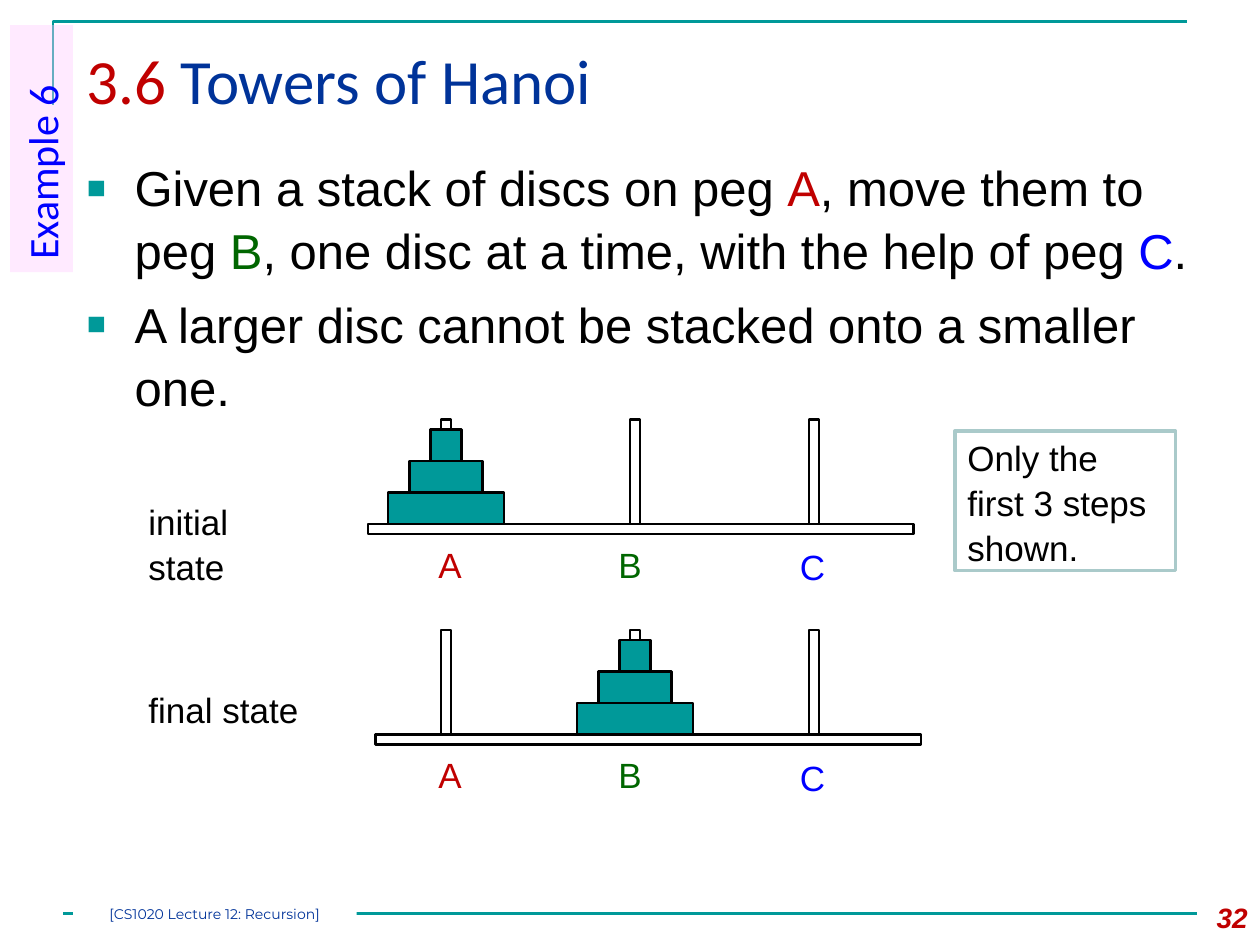
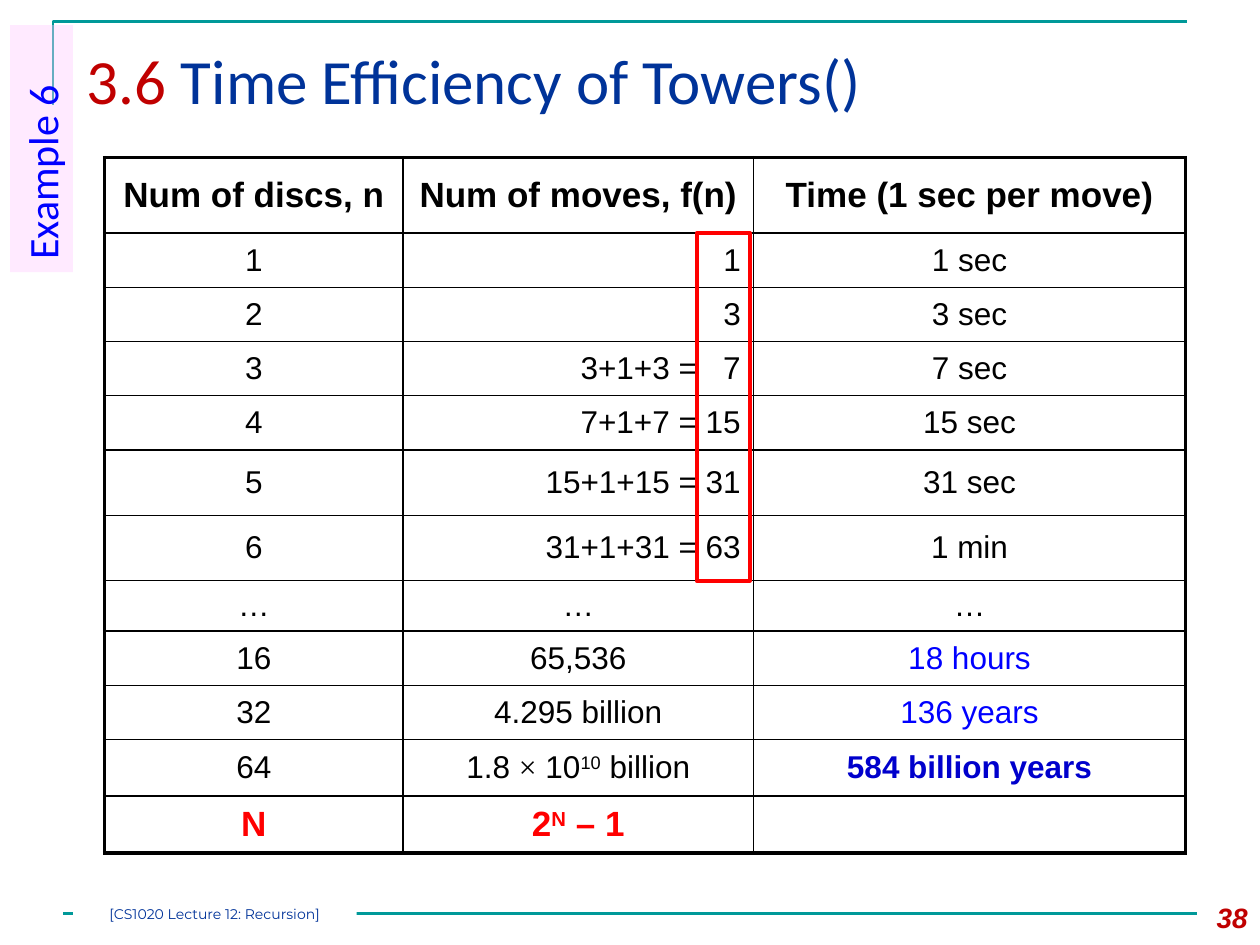
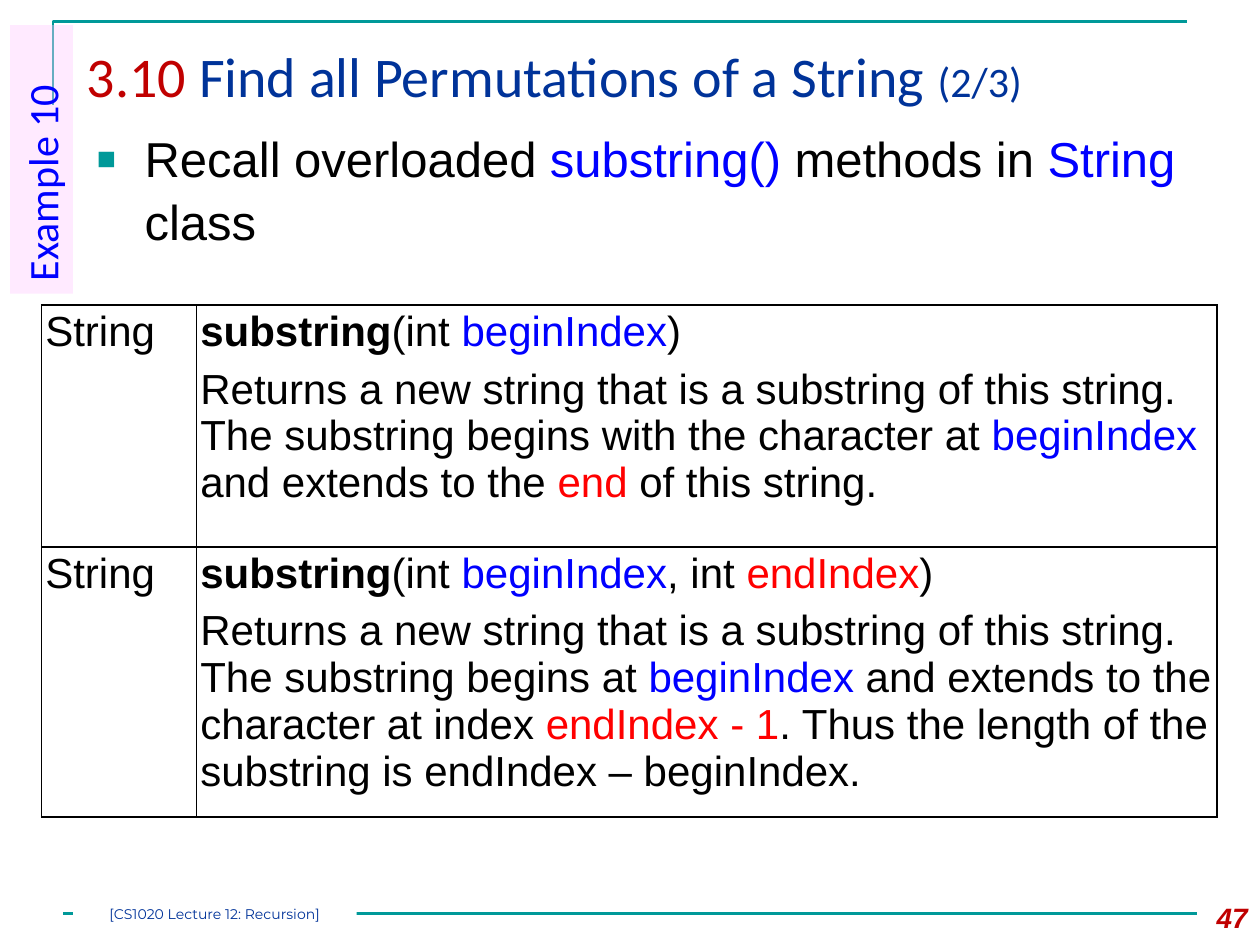
from typing import NamedTuple, Optional, Sequence

from pptx import Presentation
from pptx.dml.color import RGBColor
from pptx.enum import shapes, text
from pptx.oxml import parse_xml
from pptx.oxml.ns import nsdecls
from pptx.util import Inches, Pt

# Colours and fonts
TEAL = RGBColor(0x00, 0x99, 0x99)
PALE_TEAL = RGBColor(0xAA, 0xCA, 0xCA)
NAVY = RGBColor(0x00, 0x33, 0x99)
DARK_RED = RGBColor(0xC0, 0x00, 0x00)
RED = RGBColor(0xFF, 0x00, 0x00)
GREEN = RGBColor(0x00, 0x66, 0x00)
BLUE = RGBColor(0x00, 0x00, 0xFF)
DEEP_BLUE = RGBColor(0x00, 0x00, 0xCC)
PINK = RGBColor(0xFF, 0xCC, 0xFF)
BLACK = RGBColor(0x00, 0x00, 0x00)
WHITE = RGBColor(0xFF, 0xFF, 0xFF)
BODY_FONT, TITLE_FONT, FOOTER_FONT = "Arial", "Calibri", "Montserrat"
FOOTER = "[CS1020 Lecture 12: Recursion]"
LINE_SPACING = 1.07
LEFT, CENTER, RIGHT = text.PP_ALIGN.LEFT, text.PP_ALIGN.CENTER, text.PP_ALIGN.RIGHT


class Run(NamedTuple):
    """A piece of text; empty fields take the paragraph's format."""
    text: str
    color: Optional[RGBColor] = None
    bold: Optional[bool] = None
    size: Optional[float] = None
    font: Optional[str] = None
    raised: bool = False


class Peg(NamedTuple):
    name: str
    left: float
    label_left: float
    label_drop: float
    color: RGBColor


class Row(NamedTuple):
    height: float
    discs: str
    moves: Sequence[Run]
    time: Sequence[Run]
    moves_align: text.PP_ALIGN = CENTER
    size: float = 18
    bold: bool = False
    color: RGBColor = BLACK


PEGS = (
    Peg("A", 3.5, 3.38, 0.08, DARK_RED),
    Peg("B", 5, 4.81, 0.08, GREEN),
    Peg("C", 6.42, 6.25, 0.1, BLUE),
)
PEG_WIDTH, PEG_HEIGHT = 0.08, 0.83
DISC_WIDTHS, DISC_HEIGHT = (0.92, 0.58, 0.25), 0.25


# Text and shapes
def write(frame, paragraphs: Sequence[Sequence[Run]], *, size: float = 20,
          font: str = BODY_FONT, color: RGBColor = BLACK, bold: bool = False,
          italic: bool = False, align: text.PP_ALIGN = LEFT, bullet: bool = False,
          before: float = 0, after: float = 0, spacing: Optional[float] = None) -> None:
    for index, runs in enumerate(paragraphs):
        paragraph = frame.add_paragraph() if index else frame.paragraphs[0]
        paragraph.alignment = align
        paragraph.space_before, paragraph.space_after = Pt(before), Pt(after)
        if spacing:
            paragraph.line_spacing = spacing
        if bullet:
            add_bullet(paragraph)
        for item in runs:
            run = paragraph.add_run()
            run.text = item.text
            run.font.name = item.font or font
            run.font.size = Pt(item.size or size)
            run.font.bold = bold if item.bold is None else item.bold
            run.font.italic = italic
            run.font.color.rgb = color if item.color is None else item.color
            if item.raised:
                run._r.get_or_add_rPr().set("baseline", "30000")


def add_bullet(paragraph) -> None:
    properties = paragraph._p.get_or_add_pPr()
    properties.set("marL", str(Inches(0.38)))
    properties.set("indent", str(-Inches(0.38)))
    for xml in (f'<a:buClr {nsdecls("a")}><a:srgbClr val="{TEAL}"/></a:buClr>',
                f'<a:buSzPct {nsdecls("a")} val="65000"/>',
                f'<a:buFont {nsdecls("a")} typeface="Arial"/>',
                f'<a:buChar {nsdecls("a")} char="■"/>'):
        properties.append(parse_xml(xml))


def add_text(slide, left: float, top: float, width: float, height: float,
             paragraphs: Sequence[Sequence[Run]], wrap: bool = True, **text_format):
    frame = slide.shapes.add_textbox(
        Inches(left), Inches(top), Inches(width), Inches(height)).text_frame
    frame.word_wrap = wrap
    write(frame, paragraphs, **text_format)


def add_box(slide, left: float, top: float, width: float, height: float,
            fill: Optional[RGBColor] = None, line: Optional[RGBColor] = None,
            line_width: float = 1.5):
    shape = slide.shapes.add_shape(
        shapes.MSO_SHAPE.RECTANGLE,
        Inches(left), Inches(top), Inches(width), Inches(height))
    shape.shadow.inherit = False
    if fill is None:
        shape.fill.background()
    else:
        shape.fill.solid()
        shape.fill.fore_color.rgb = fill
    if line is None:
        shape.line.fill.background()
    else:
        shape.line.color.rgb = line
        shape.line.width = Pt(line_width)
    return shape


# Shared slide frame
def add_frame_lines(slide) -> None:
    builder = slide.shapes.build_freeform(Inches(0.42), Inches(0.83))
    builder.add_line_segments(
        [(Inches(0.42), Inches(0.17)), (Inches(9.42), Inches(0.17))], close=False)
    corner = builder.convert_to_shape()
    corner.shadow.inherit = False
    corner.fill.background()
    rule = slide.shapes.add_connector(
        shapes.MSO_CONNECTOR.STRAIGHT, Inches(0.5), Inches(7.25), Inches(9.5), Inches(7.25))
    rule._element.spPr.append(parse_xml(f'<a:effectLst {nsdecls("a")}/>'))
    for shape in (corner, rule):
        shape.line.color.rgb = TEAL
        shape.line.width = Pt(1.5)


def add_slide(presentation, title: Sequence[Run], number: int,
              title_size: float = 36, title_width: float = 8.91):
    slide = presentation.slides.add_slide(presentation.slide_layouts[5])
    add_frame_lines(slide)
    holder = slide.shapes.title
    holder.left, holder.top = Inches(0.59), Inches(0.25)
    holder.width, holder.height = Inches(title_width), Inches(0.86)
    holder.text_frame.vertical_anchor = text.MSO_ANCHOR.TOP
    holder.text_frame.auto_size = text.MSO_AUTO_SIZE.NONE
    write(holder.text_frame, [title], size=title_size, font=TITLE_FONT,
          color=NAVY, spacing=1.05)
    add_text(slide, 9.33, 7.1, 0.67, 0.4, [[Run(str(number))]], size=16,
             color=DARK_RED, bold=True, italic=True, align=RIGHT)
    return slide


def add_labels(slide, example: str, length: float) -> None:
    """Upright example tab at the left and the footer label."""
    thickness, middle, tab_top = 0.5, 0.33, 0.2
    tab = add_box(slide, middle - length / 2, tab_top + (length - thickness) / 2,
                  length, thickness, fill=PINK)
    tab.rotation = 270
    tab_color = tab._element.spPr.find(".//{*}solidFill/{*}srgbClr")
    tab_color.append(parse_xml(f'<a:alpha {nsdecls("a")} val="40000"/>'))
    write(tab.text_frame, [[Run(example)]], size=24, font=TITLE_FONT, color=BLUE)

    frame = add_box(slide, 0.58, 7.17, 2.25, 0.17, fill=WHITE).text_frame
    frame.margin_left = frame.margin_right = frame.margin_top = frame.margin_bottom = 0
    write(frame, [[Run(FOOTER)]], size=8, font=FOOTER_FONT, color=NAVY, align=CENTER)


# Tables
def add_plain_table(slide, left: float, top: float,
                    widths: Sequence[float], heights: Sequence[float]):
    table = slide.shapes.add_table(
        len(heights), len(widths), Inches(left), Inches(top),
        Inches(sum(widths)), Inches(sum(heights))).table
    table.first_row = table.horz_banding = False
    for column, width in zip(table.columns, widths):
        column.width = Inches(width)
    for row, height in zip(table.rows, heights):
        row.height = Inches(height)
    return table


def format_cells(table, outer_width: float, fill: Optional[RGBColor] = None) -> None:
    last_row, last_column = len(table.rows) - 1, len(table.columns) - 1
    for row in range(last_row + 1):
        for column in range(last_column + 1):
            cell = table.cell(row, column)
            outer_sides = {"lnL": column == 0, "lnR": column == last_column,
                           "lnT": row == 0, "lnB": row == last_row}
            for side, is_outer in outer_sides.items():
                width = Pt(outer_width if is_outer else 1)
                cell._tc.get_or_add_tcPr().append(parse_xml(
                    f'<a:{side} {nsdecls("a")} w="{width}"><a:solidFill>'
                    f'<a:srgbClr val="{BLACK}"/></a:solidFill></a:{side}>'))
            if fill is None:
                cell.fill.background()
            else:
                cell.fill.solid()
                cell.fill.fore_color.rgb = fill


# Towers of Hanoi
def draw_state(slide, top: float, base_left: float, stacked: str,
               caption: str, caption_top: float) -> None:
    base_top = top + PEG_HEIGHT
    add_box(slide, base_left, base_top, 4.33, 0.08, line=BLACK)
    for peg in PEGS:
        add_box(slide, peg.left, top, PEG_WIDTH, PEG_HEIGHT, line=BLACK)
        add_text(slide, peg.label_left, base_top + peg.label_drop, 0.39, 0.43,
                 [[Run(peg.name, peg.color)]], wrap=False, spacing=LINE_SPACING)
        if peg.name == stacked:
            center = peg.left + PEG_WIDTH / 2
            for level, width in enumerate(DISC_WIDTHS, start=1):
                add_box(slide, center - width / 2, base_top - level * DISC_HEIGHT,
                        width, DISC_HEIGHT, fill=TEAL, line=BLACK)
    add_text(slide, 1.08, caption_top, 1.51, 0.43, [[Run(caption)]],
             wrap=False, spacing=LINE_SPACING)


def build_hanoi(presentation) -> None:
    slide = add_slide(presentation, [Run("3.6 ", DARK_RED), Run("Towers of Hanoi")], 32)
    add_text(slide, 0.59, 1.17, 9.25, 2.08, [
        [Run("Given a stack of discs on peg "), Run("A", DARK_RED),
         Run(", move them to peg "), Run("B", GREEN),
         Run(", one disc at a time, with the help of peg "), Run("C", BLUE), Run(".")],
        [Run("A larger disc cannot be stacked onto a smaller one.")],
    ], size=28, bullet=True, before=6, spacing=LINE_SPACING)
    draw_state(slide, 3.33, 2.92, "A", "initial state", 3.9)
    draw_state(slide, 5, 2.98, "B", "final state", 5.39)
    note = add_box(slide, 7.58, 3.42, 1.75, 1.11, fill=WHITE, line=PALE_TEAL, line_width=2)
    write(note.text_frame, [[Run("Only the first 3 steps shown.")]], spacing=LINE_SPACING)
    add_labels(slide, "Example 6", 1.96)


# Time efficiency
def build_efficiency(presentation) -> None:
    slide = add_slide(
        presentation, [Run("3.6 ", DARK_RED), Run("Time Efficiency of Towers()")], 38)
    small_cases = (  # row height, moves, time
        (0.43, "1", "1 sec"),
        (0.43, "3", "3 sec"),
        (0.43, "3+1+3 = \u20077", "7 sec"),
        (0.43, "7+1+7 = 15", "15 sec"),
        (0.52, "15+1+15 = 31", "31 sec"),
        (0.52, "31+1+31 = 63", "1 min"),
    )
    rows = [
        Row(0.6, "Num of discs, n", [Run("Num of moves, f(n)")],
            [Run("Time (1 sec per move)")], size=20, bold=True),
        *(Row(height, str(discs), [Run(moves)], [Run(time)], RIGHT)
          for discs, (height, moves, time) in enumerate(small_cases, start=1)),
        Row(0.38, "…", [Run("…")], [Run("…")]),
        Row(0.43, "16", [Run("65,536")], [Run("18 hours", BLUE)]),
        Row(0.43, "32", [Run("4.295 billion")], [Run("136 years", BLUE)]),
        Row(0.45, "64",
            [Run("1.8 "), Run("×", font="Times New Roman"), Run(" 10"),
             Run("10", raised=True), Run(" billion")],
            [Run("584 billion years", DEEP_BLUE, True)]),
        Row(0.45, "N", [Run("2"), Run("N", raised=True), Run(" – 1")], [],
            size=20, bold=True, color=RED),
    ]
    table = add_plain_table(slide, 0.83, 1.25, (2.37, 2.78, 3.43),
                            [row.height for row in rows])
    format_cells(table, outer_width=2.25, fill=WHITE)
    for index, row in enumerate(rows):
        contents = (([Run(row.discs)], CENTER), (row.moves, row.moves_align),
                    (row.time, CENTER))
        for column, (runs, align) in enumerate(contents):
            cell = table.cell(index, column)
            cell.vertical_anchor = text.MSO_ANCHOR.MIDDLE
            write(cell.text_frame, [runs], size=row.size, bold=row.bold,
                  color=row.color, align=align)
    add_box(slide, 5.53, 1.85, 0.42, 2.76, line=RED, line_width=2.25)
    add_labels(slide, "Example 6", 1.96)


# String permutations
def build_permutations(presentation) -> None:
    slide = add_slide(
        presentation,
        [Run("3.10 ", DARK_RED), Run("Find all Permutations of a String "),
         Run("(2/3)", size=24)],
        47, title_size=32, title_width=9.33)
    add_text(slide, 0.67, 0.94, 8.83, 1.17, [
        [Run("Recall overloaded "), Run("substring()", BLUE), Run(" methods in "),
         Run("String", BLUE), Run(" class")],
    ], size=28, bullet=True, before=6, spacing=LINE_SPACING)

    begin, name = Run("beginIndex", BLUE), Run("substring", bold=True)
    summary = "Returns a new string that is a substring of this string. The substring begins "
    methods = (
        [[name, Run("(int "), begin, Run(")")],
         [Run(summary + "with the character at "), begin, Run(" and extends to the "),
          Run("end", RED), Run(" of this string.")]],
        [[name, Run("(int "), begin, Run(", int "), Run("endIndex", RED), Run(")")],
         [Run(summary + "at "), begin, Run(" and extends to the character at index "),
          Run("endIndex - 1", RED),
          Run(". Thus the length of the substring is endIndex – beginIndex.")]],
    )
    table = add_plain_table(slide, 0.33, 2.42, (1.23, 8.1), (1.92, 2))
    format_cells(table, outer_width=1)
    for index, description in enumerate(methods):
        for column, paragraphs in enumerate(([[Run("String")]], description)):
            cell = table.cell(index, column)
            cell.margin_left = cell.margin_right = Inches(0.03)
            cell.margin_top = cell.margin_bottom = Inches(0.03)
            write(cell.text_frame, paragraphs, size=24, after=6 if column else 0)
    add_labels(slide, "Example 10", 2.13)


def main() -> None:
    presentation = Presentation()
    presentation.slide_width, presentation.slide_height = Inches(10), Inches(7.5)
    build_hanoi(presentation)
    build_efficiency(presentation)
    build_permutations(presentation)
    presentation.save("out.pptx")


main()
